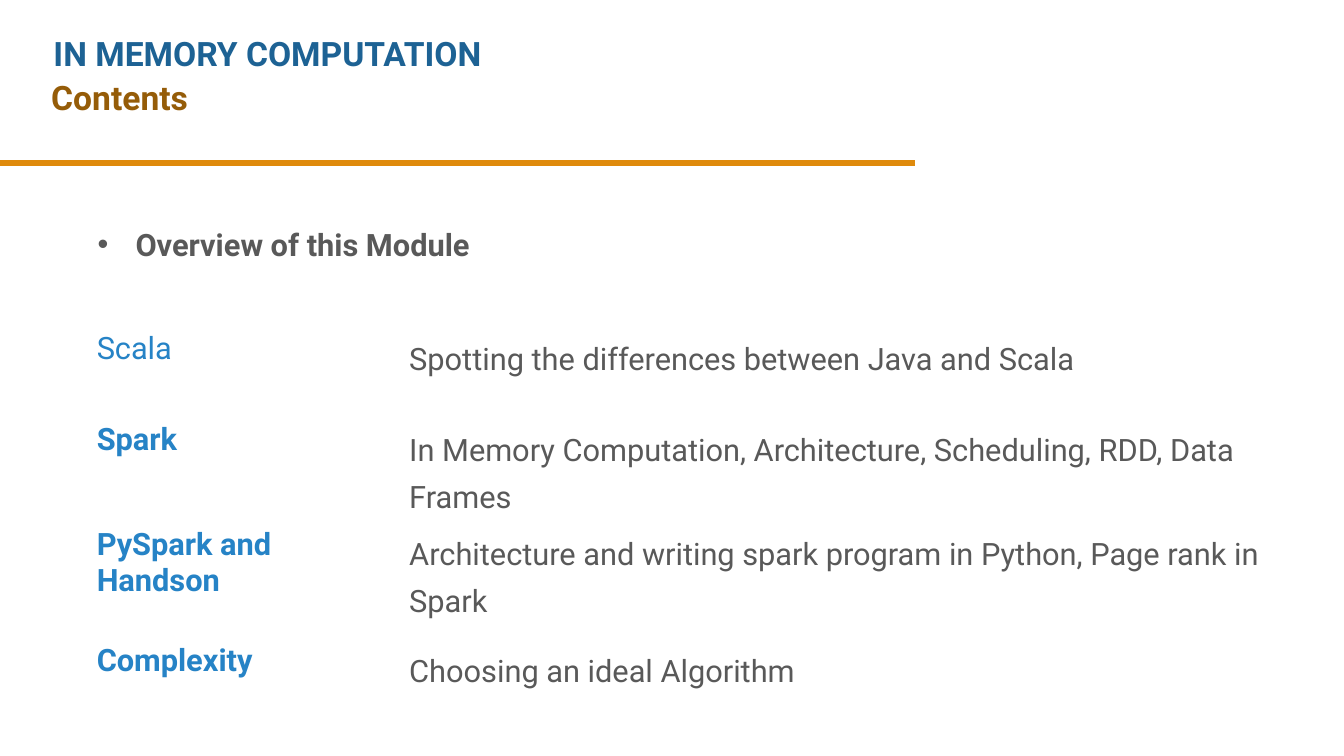
from lxml.etree import SubElement
from pptx import Presentation
from pptx.dml.color import RGBColor
from pptx.enum.shapes import MSO_CONNECTOR
from pptx.enum.text import MSO_ANCHOR, MSO_AUTO_SIZE, PP_ALIGN
from pptx.oxml.ns import qn
from pptx.util import Pt

COURSE = "IN MEMORY COMPUTATION"
HEADING = "Contents"
OVERVIEW = "Overview of this Module"
TOPICS = [
    ("Scala", "Spotting the differences between Java and Scala"),
    ("Spark", "In Memory Computation, Architecture, Scheduling, RDD, Data Frames"),
    ("PySpark and Handson", "Architecture and writing spark program in Python, Page rank in Spark"),
    ("Complexity", "Choosing an ideal Algorithm"),
]
COLORS = {"course": "1D6294", "heading": "955C08", "rule": "DF8A0C",
          "topic": "2683C6", "text": "595959", "cell": "FFFFFF"}

COLUMN_WIDTHS = [223.2, 644.4]
ROW_HEIGHTS = [65.5, 72, 83, 65.5]
COURSE_BOX = (31, 20.2, 590.4, 36)
HEADING_BOX = (29.5, 51.1, 720.7, 65.5)
OVERVIEW_BOX = (62.6, 149.8, 614.2, 52.6)
TABLE_LEFT, TABLE_TOP = 61.9, 232.6
RULE_Y, RULE_END = 116.6, 653.8


def color(name):
    return RGBColor.from_string(COLORS[name])


def write(frame, text, color_name, size=22, bold=False, line_spacing=None):
    frame.text = text
    frame.word_wrap = True
    paragraph = frame.paragraphs[0]
    formats = {"alignment": PP_ALIGN.LEFT, "space_before": Pt(0), "line_spacing": line_spacing}
    for attribute, value in formats.items():
        setattr(paragraph, attribute, value)
    font = paragraph.runs[0].font
    for attribute, value in {"name": "Roboto", "size": Pt(size), "bold": bold}.items():
        setattr(font, attribute, value)
    font.color.rgb = color(color_name)


def place(shape, box):
    for attribute, value in zip(("left", "top", "width", "height"), box):
        setattr(shape, attribute, Pt(value))


deck = Presentation()
deck.slide_width, deck.slide_height = Pt(960), Pt(540)
slide = deck.slides.add_slide(deck.slide_layouts[1])

course = slide.shapes.title
place(course, COURSE_BOX)
write(course.text_frame, COURSE, "course", 24, True)

heading = slide.shapes.add_textbox(*map(Pt, HEADING_BOX))
write(heading.text_frame, HEADING, "heading", 24, True)

overview = slide.placeholders[1]
place(overview, OVERVIEW_BOX)
overview_format = overview.text_frame.paragraphs[0]._p.get_or_add_pPr()
overview_format.set("marL", "0")
overview_format.set("indent", "0")
SubElement(overview_format, qn("a:buNone"))
write(overview.text_frame, OVERVIEW, "text", bold=True, line_spacing=1.3)

for box in (course, heading, overview):
    box.text_frame.vertical_anchor = MSO_ANCHOR.TOP
    box.text_frame.auto_size = MSO_AUTO_SIZE.NONE

topics = slide.shapes.add_table(
    len(TOPICS), 2, Pt(TABLE_LEFT), Pt(TABLE_TOP),
    Pt(sum(COLUMN_WIDTHS)), Pt(sum(ROW_HEIGHTS))).table
topics.first_row = topics.horz_banding = False
for column, width in zip(topics.columns, COLUMN_WIDTHS):
    column.width = Pt(width)
for index, (topic, summary) in enumerate(TOPICS):
    topics.rows[index].height = Pt(ROW_HEIGHTS[index])
    topic_cell, summary_cell = topics.rows[index].cells
    write(topic_cell.text_frame, topic, "topic", bold=index > 0)
    write(summary_cell.text_frame, summary, "text", line_spacing=1.3)
    for cell in (topic_cell, summary_cell):
        cell.fill.solid()
        cell.fill.fore_color.rgb = color("cell")

rule = slide.shapes.add_connector(
    MSO_CONNECTOR.STRAIGHT, Pt(0), Pt(RULE_Y), Pt(RULE_END), Pt(RULE_Y))
rule.line.color.rgb = color("rule")
rule.line.width = Pt(4.5)
SubElement(rule._element.spPr, qn("a:effectLst"))

deck.save("out.pptx")
